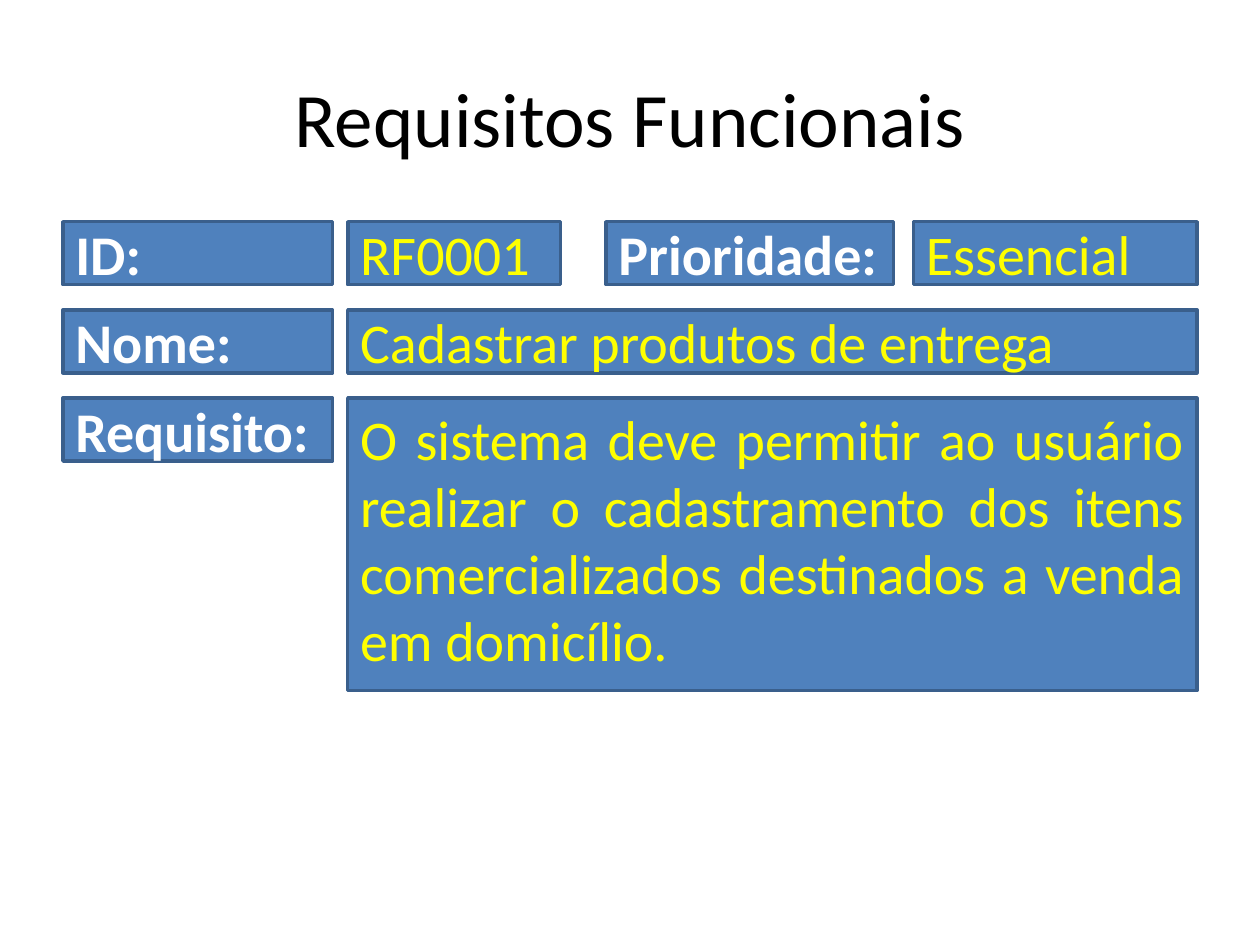
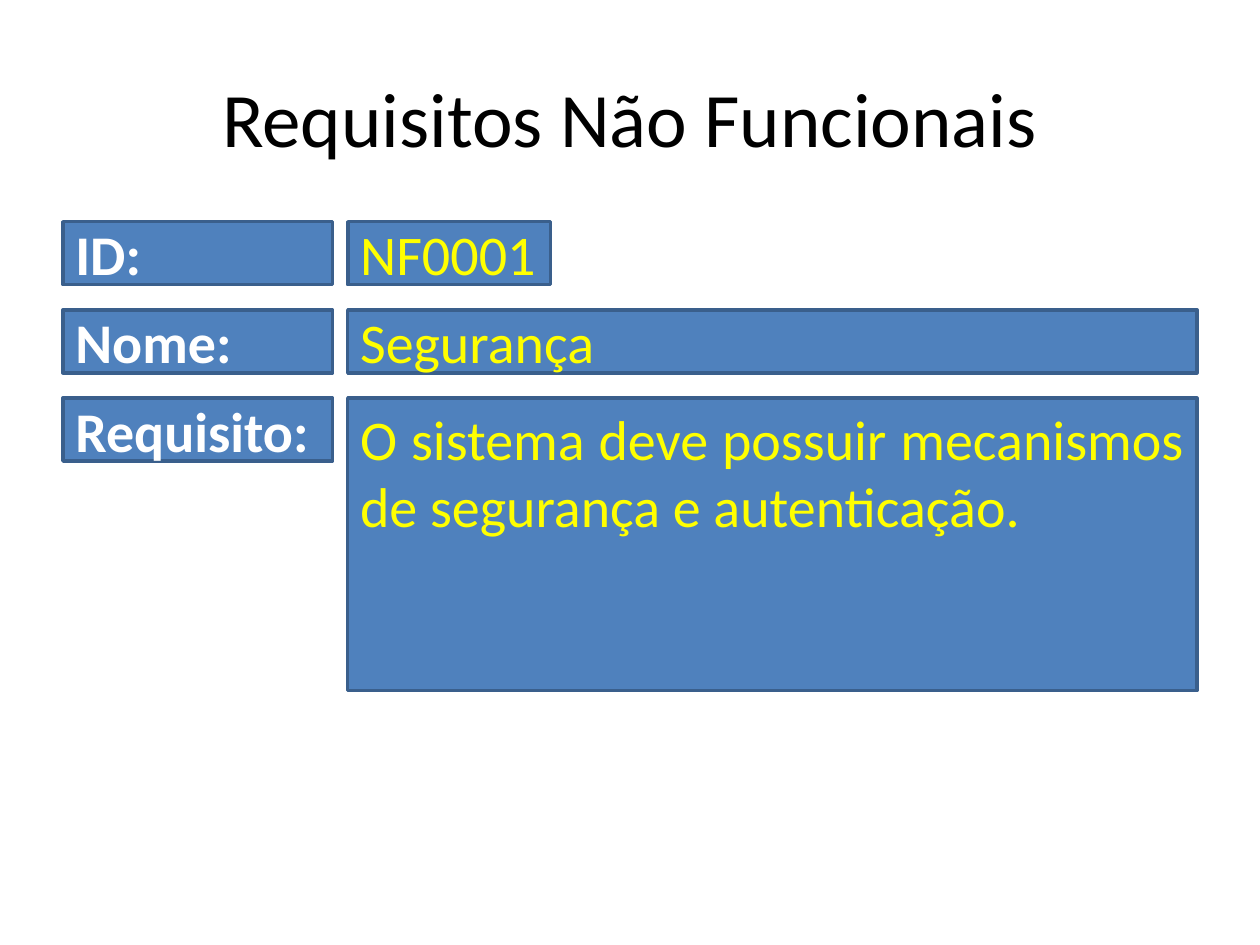
from dataclasses import dataclass

from pptx import Presentation
from pptx.dml.color import RGBColor
from pptx.enum.shapes import MSO_SHAPE as Preset
from pptx.enum.text import MSO_ANCHOR as Anchor, PP_ALIGN as Align
from pptx.util import Inches, Pt


@dataclass(frozen=True)
class Theme:
    """Colours, type sizes and grid shared by the slides."""
    font: str = "Calibri"
    title_size: int = 44
    body_size: int = 32
    title_color: str = "000000"
    label_color: str = "FFFFFF"
    value_color: str = "FFFF00"
    fill: str = "4F81BD"
    border: str = "3A5F8C"
    border_width: int = 2
    left: float = 0.5
    right: float = 9.5
    label_width: float = 2.14
    value_left: float = 2.76
    first_row: float = 1.76
    row_step: float = 0.7
    row_height: float = 0.5
    text_height: float = 2.32

    @property
    def value_width(self):
        """Width from the value column to the right margin."""
        return self.right - self.value_left


class RequirementDeck:
    """Draws requirement cards on the current slide."""

    def __init__(self, theme):
        self.theme = theme
        self.deck = Presentation()
        self.deck.slide_width, self.deck.slide_height = Inches(10), Inches(7.5)
        self.page = None

    def style(self, para, size, color, bold=False, align=Align.LEFT):
        """Format a paragraph."""
        para.alignment = align
        para.font.name = self.theme.font
        para.font.size = Pt(size)
        para.font.bold = bold
        para.font.color.rgb = RGBColor.from_string(color)

    def add_page(self, text):
        """Start a slide with a centred title."""
        theme = self.theme
        self.page = self.deck.slides.add_slide(self.deck.slide_layouts[5])
        title = self.page.shapes.title
        title.left, title.top = Inches(theme.left), Inches(0.3)
        title.width, title.height = Inches(theme.right - theme.left), Inches(1.25)
        title.text_frame.text = text
        title.text_frame.vertical_anchor = Anchor.MIDDLE
        self.style(title.text_frame.paragraphs[0], theme.title_size,
                   theme.title_color, align=Align.CENTER)

    def add_box(self, text, left, row, width, height=None, color=None,
                bold=False, anchor=Anchor.MIDDLE, align=Align.LEFT):
        """Add a filled text box on a row of the grid."""
        theme = self.theme
        top = theme.first_row + row * theme.row_step
        box = self.page.shapes.add_shape(
            Preset.RECTANGLE, Inches(left), Inches(top),
            Inches(width), Inches(height or theme.row_height))
        box.shadow.inherit = False
        box.fill.solid()
        box.fill.fore_color.rgb = RGBColor.from_string(theme.fill)
        box.line.color.rgb = RGBColor.from_string(theme.border)
        box.line.width = Pt(theme.border_width)
        frame = box.text_frame
        frame.text = text
        frame.word_wrap = True
        frame.vertical_anchor = anchor
        self.style(frame.paragraphs[0], theme.body_size,
                   color or theme.value_color, bold, align)

    def add_label(self, text, left, row, width):
        """Add a bold field name."""
        self.add_box(text, left, row, width, color=self.theme.label_color, bold=True)

    def add_requirement(self, code, code_width, name, description):
        """Add the fields every requirement has."""
        theme = self.theme
        for row, label in enumerate(("ID:", "Nome:", "Requisito:")):
            self.add_label(label, theme.left, row, theme.label_width)
        self.add_box(code, theme.value_left, 0, code_width)
        self.add_box(name, theme.value_left, 1, theme.value_width)
        self.add_box(description, theme.value_left, 2, theme.value_width,
                     theme.text_height, anchor=Anchor.TOP, align=Align.JUSTIFY)

    def add_priority(self, level):
        """Add the priority field beside the ID."""
        self.add_label("Prioridade:", 4.81, 0, 2.28)
        self.add_box(level, 7.25, 0, self.theme.right - 7.25)


def main():
    """Build and save both slides."""
    cards = RequirementDeck(Theme())

    cards.add_page("Requisitos Funcionais")
    cards.add_requirement(
        "RF0001", 1.69, "Cadastrar produtos de entrega",
        "O sistema deve permitir ao usuário realizar o cadastramento dos itens "
        "comercializados destinados a venda em domicílio.")
    cards.add_priority("Essencial")

    cards.add_page("Requisitos Não Funcionais")
    cards.add_requirement(
        "NF0001", 1.61, "Segurança",
        "O sistema deve possuir mecanismos de segurança e autenticação.")

    cards.deck.save("out.pptx")


main()
